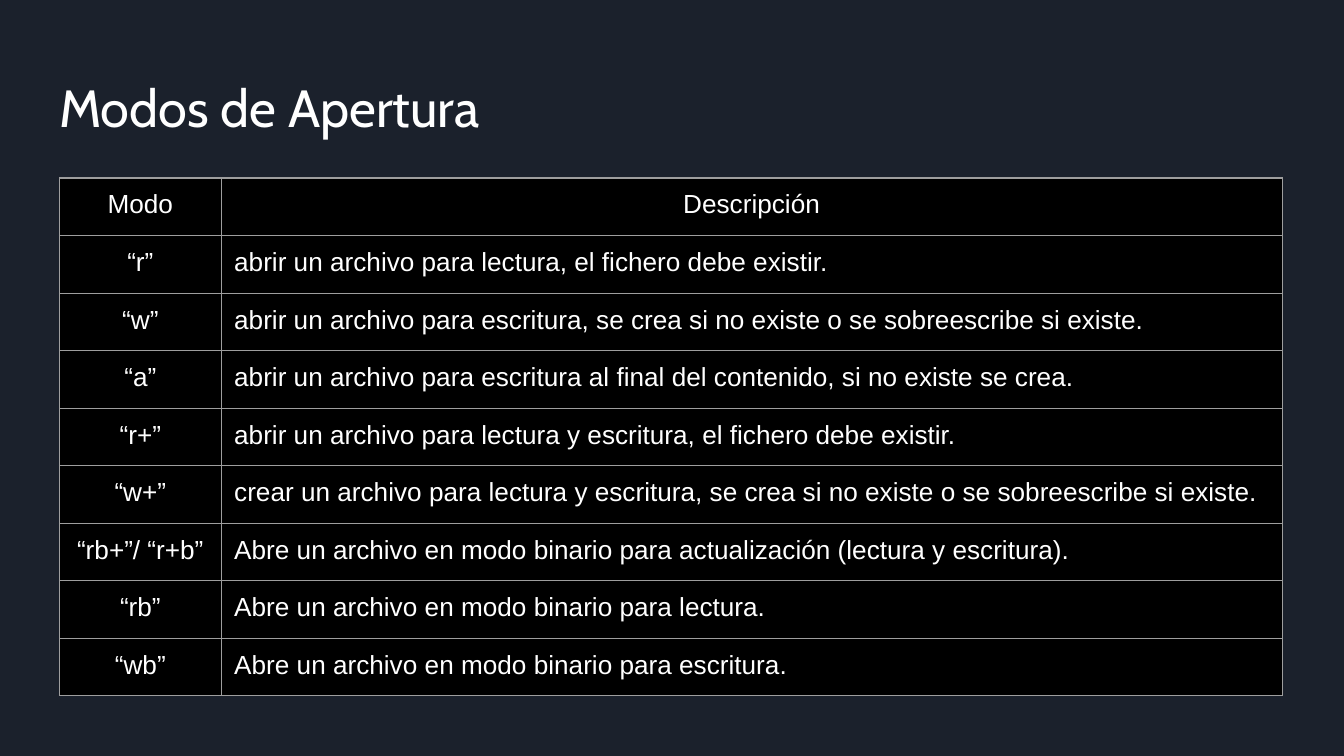
from dataclasses import dataclass

from lxml.etree import SubElement
from pptx import Presentation
from pptx.dml.color import RGBColor
from pptx.enum.text import MSO_ANCHOR as Anchor, PP_ALIGN as Align
from pptx.oxml.ns import qn
from pptx.util import Pt

COLORS = {
    "background": "1B212C",
    "text": "FFFFFF",
    "cell": "000000",
    "border": "9E9E9E",
}
TABLE_LEFT, TABLE_TOP = 31.9, 95.4
COLUMN_WIDTHS = (86.6, 568.4)
ROW_HEIGHT = 30.83
BORDER_WIDTH = 0.75


@dataclass(frozen=True)
class OpeningMode:
    mode: str
    description: str


HEADER = OpeningMode("Modo", "Descripción")
MODES = [
    OpeningMode("“r”", "abrir un archivo para lectura, el fichero debe existir."),
    OpeningMode("“w”", "abrir un archivo para escritura, se crea si no existe o se sobreescribe si existe."),
    OpeningMode("“a”", "abrir un archivo para escritura al final del contenido, si no existe se crea."),
    OpeningMode("“r+”", "abrir un archivo para lectura y escritura, el fichero debe existir."),
    OpeningMode("“w+”", "crear un archivo para lectura y escritura, se crea si no existe o se sobreescribe si existe."),
    OpeningMode("“rb+”/ “r+b”", "Abre un archivo en modo binario para actualización (lectura y escritura)."),
    OpeningMode("“rb”", "Abre un archivo en modo binario para lectura."),
    OpeningMode("“wb”", "Abre un archivo en modo binario para escritura."),
]


def rgb(name: str) -> RGBColor:
    return RGBColor.from_string(COLORS[name])


def write_text(text_frame, text: str, *, size: float, font: str = "Arial",
               color: str = "text", align: Align = Align.LEFT) -> None:
    paragraph = text_frame.paragraphs[0]
    paragraph.alignment = align
    run = paragraph.add_run()
    run.text = text
    run.font.size = Pt(size)
    run.font.name = font
    run.font.color.rgb = rgb(color)


def add_borders(cell) -> None:
    """Line all four sides; call before filling, as the schema puts lines first."""
    properties = cell._tc.get_or_add_tcPr()
    for side in ("a:lnL", "a:lnR", "a:lnT", "a:lnB"):
        line = SubElement(properties, qn(side), w=str(Pt(BORDER_WIDTH)))
        fill = SubElement(line, qn("a:solidFill"))
        SubElement(fill, qn("a:srgbClr"), val=COLORS["border"])


def draw_cell(cell, text: str, *, align: Align) -> None:
    add_borders(cell)
    cell.fill.solid()
    cell.fill.fore_color.rgb = rgb("cell")
    cell.vertical_anchor = Anchor.TOP
    cell.margin_left = Pt(7 if align == Align.LEFT else 0)
    cell.margin_right = cell.margin_bottom = Pt(0)
    cell.margin_top = Pt(6.5)
    write_text(cell.text_frame, text, size=14, align=align)


def draw_title(slide, text: str) -> None:
    shape = slide.shapes.add_textbox(Pt(30.9), Pt(39.6), Pt(240.5), Pt(35.3))
    text_frame = shape.text_frame
    text_frame.word_wrap = True
    text_frame.margin_left = Pt(0.8)
    text_frame.margin_top = Pt(0.9)
    text_frame.margin_right = text_frame.margin_bottom = Pt(0)
    write_text(text_frame, text, size=28, font="Cabin")


def draw_modes_table(slide, rows: list[OpeningMode]) -> None:
    table = slide.shapes.add_table(
        len(rows), len(COLUMN_WIDTHS), Pt(TABLE_LEFT), Pt(TABLE_TOP),
        Pt(sum(COLUMN_WIDTHS)), Pt(ROW_HEIGHT * len(rows))).table
    for column, width in zip(table.columns, COLUMN_WIDTHS):
        column.width = Pt(width)
    for index, row in enumerate(rows):
        table.rows[index].height = Pt(ROW_HEIGHT)
        draw_cell(table.cell(index, 0), row.mode, align=Align.CENTER)
        draw_cell(table.cell(index, 1), row.description,
                  align=Align.CENTER if row is HEADER else Align.LEFT)


def main() -> None:
    presentation = Presentation()
    presentation.slide_width = Pt(720)
    presentation.slide_height = Pt(405)
    slide = presentation.slides.add_slide(presentation.slide_layouts[6])
    slide.background.fill.solid()
    slide.background.fill.fore_color.rgb = rgb("background")
    draw_title(slide, "Modos de Apertura")
    draw_modes_table(slide, [HEADER, *MODES])
    presentation.save("out.pptx")


if __name__ == "__main__":
    main()
